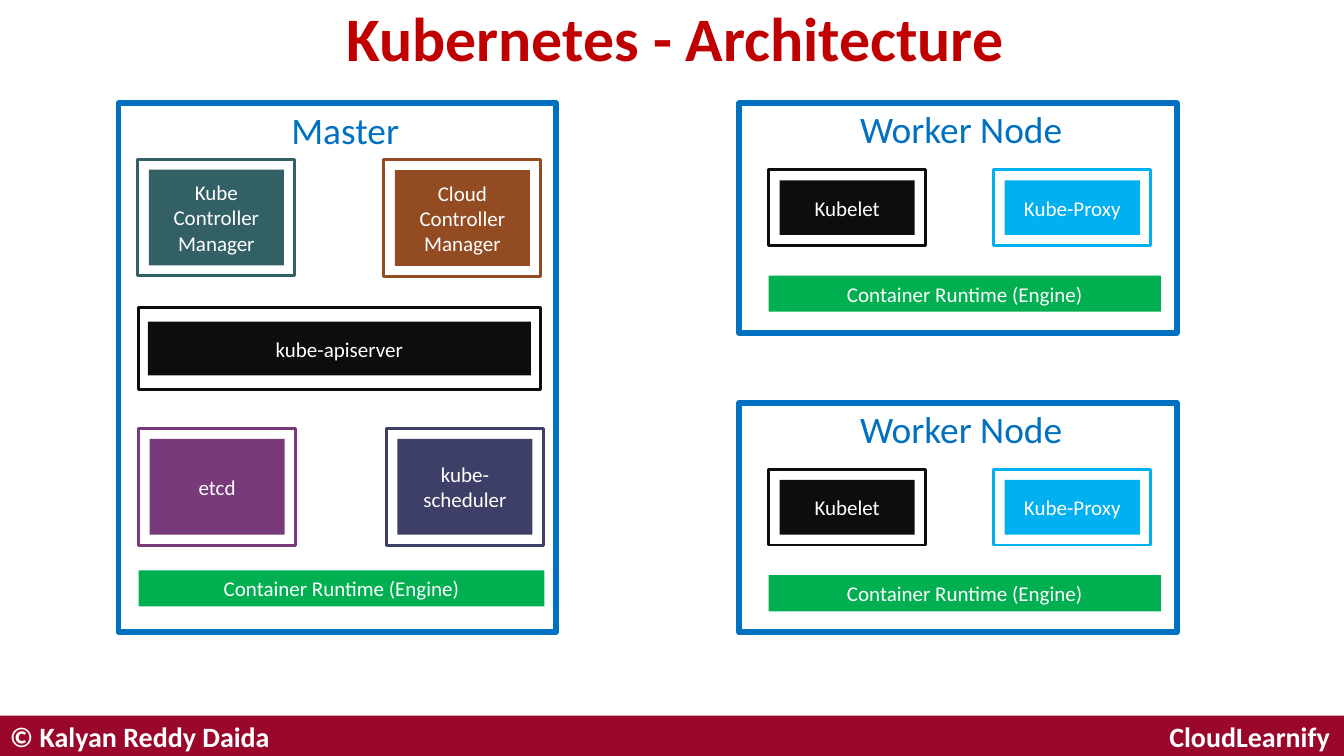
from pptx import Presentation
from pptx.dml.color import RGBColor as RGB
from pptx.enum.shapes import MSO_SHAPE as SHAPE
from pptx.enum.text import MSO_ANCHOR as ANCHOR, PP_ALIGN as ALIGN
from pptx.util import Pt

WHITE = RGB(0xFF, 0xFF, 0xFF)
RED = RGB(0xC0, 0x00, 0x00)
CRIMSON = RGB(0x9B, 0x07, 0x2B)
BLUE = RGB(0x00, 0x70, 0xC0)
SKY = RGB(0x00, 0xB0, 0xF0)
GREEN = RGB(0x00, 0xB0, 0x50)
BLACK = RGB(0x0D, 0x0D, 0x0D)
TEAL = RGB(0x32, 0x60, 0x65)
BROWN = RGB(0x93, 0x4C, 0x22)
NAVY = RGB(0x3E, 0x3F, 0x68)
PURPLE = RGB(0x78, 0x3A, 0x7A)

LABEL = {"size": Pt(18), "bold": False}
HEADING = {"size": Pt(32), "bold": False}
FOOTER = {"size": Pt(24), "bold": True}
TITLE = {"size": Pt(53), "bold": True}

RUNTIME = "Container Runtime (Engine)"


def write(sp, text, fmt, color, align=ALIGN.CENTER, anchor=ANCHOR.MIDDLE):
    """Fill a shape with one formatted paragraph and return it."""
    tf = sp.text_frame
    tf.word_wrap = True
    tf.vertical_anchor = anchor
    p = tf.paragraphs[0]
    p.alignment = align
    r = p.add_run()
    r.text = text
    for name, value in {"name": "Calibri", **fmt}.items():
        setattr(r.font, name, value)
    r.font.color.rgb = color
    return p


def add_text(s, box, text, fmt, color, align=ALIGN.CENTER, anchor=ANCHOR.MIDDLE):
    """Add a text box and return its paragraph."""
    sp = s.shapes.add_textbox(*map(Pt, box))
    return write(sp, text, fmt, color, align, anchor)


def add_block(s, box, color, text=""):
    """Add a filled rectangle with an optional white label."""
    sp = s.shapes.add_shape(SHAPE.RECTANGLE, *map(Pt, box))
    sp.shadow.inherit = False
    sp.fill.solid()
    sp.fill.fore_color.rgb = color
    sp.line.fill.background()
    if text:
        write(sp, text, LABEL, WHITE)


def add_outline(s, box, color, width):
    """Add an unfilled rectangle with a coloured border."""
    sp = s.shapes.add_shape(SHAPE.RECTANGLE, *map(Pt, box))
    sp.shadow.inherit = False
    sp.fill.background()
    sp.line.color.rgb = color
    sp.line.width = Pt(width)


def add_component(s, box, color, text, dx=9.4, dy=9):
    """Add a labelled block inset within an outline of its own colour."""
    x, y, w, h = box
    add_block(s, (x + dx, y + dy, w - 2 * dx, h - 2 * dy), color, text)
    add_outline(s, box, color, 2.5)


def add_master(s, box):
    """Draw the master node and its control plane."""
    x, y, w, h = box
    add_outline(s, box, BLUE, 5)
    add_text(s, (x + 141.1, y, 115, 46), "Master", HEADING, BLUE,
             ALIGN.LEFT, ANCHOR.TOP)
    for dx, dy, color, text in (
        (16.6, 47.8, TEAL, "Kube Controller Manager"),
        (227.5, 48.2, BROWN, "Cloud Controller Manager"),
        (17.3, 278.6, PURPLE, "etcd"),
        (229.7, 278.6, NAVY, "kube-scheduler"),
    ):
        add_component(s, (x + dx, y + dy, 134.6, 100.1), color, text)
    add_component(s, (x + 17.3, y + 175, 344.2, 70.5), BLACK,
                  "kube-apiserver", dx=8, dy=12.2)
    add_block(s, (x + 17.3, y + 400.3, 347.8, 31), GREEN, RUNTIME)


def add_worker(s, box):
    """Draw a worker node with its agents and runtime."""
    x, y, w, h = box
    add_outline(s, box, BLUE, 5)
    add_text(s, (x + 96.5, y - 1, 200, 46), "Worker Node", HEADING, BLUE,
             ALIGN.LEFT, ANCHOR.TOP)
    for dx, color, text in ((25.2, BLACK, "Kubelet"), (218.2, SKY, "Kube-Proxy")):
        add_component(s, (x + dx, y + 57, 134.6, 64.8), color, text)
    add_block(s, (x + 25.2, y + 147.6, 336.2, 31), GREEN, RUNTIME)


def add_footer(s, box):
    """Draw the footer band with its two captions."""
    x, y, w, h = box
    add_block(s, box, CRIMSON)
    for left, width, text, align in (
        (x + 1.5, 260, "© Kalyan Reddy Daida", ALIGN.LEFT),
        (x + w - 245, 240, "CloudLearnify", ALIGN.RIGHT),
    ):
        add_text(s, (left, y, width, h), text, FOOTER, WHITE, align)


def add_title(s, box):
    """Write the slide title."""
    p = add_text(s, box, "Kubernetes - Architecture", TITLE, RED)
    p.line_spacing = 0.9


def main():
    """Build the architecture slide."""
    prs = Presentation()
    prs.slide_width, prs.slide_height = Pt(1152), Pt(648)
    s = prs.slides.add_slide(prs.slide_layouts[6])
    add_footer(s, (0, 613.4, 1152, 34.6))
    add_title(s, (82, -11.5, 993.6, 93.6))
    add_master(s, (101.5, 88.6, 375.1, 452.9))
    for top in (88.6, 345.4):
        add_worker(s, (633.6, top, 375.1, 196.6))
    prs.save("out.pptx")


if __name__ == "__main__":
    main()
